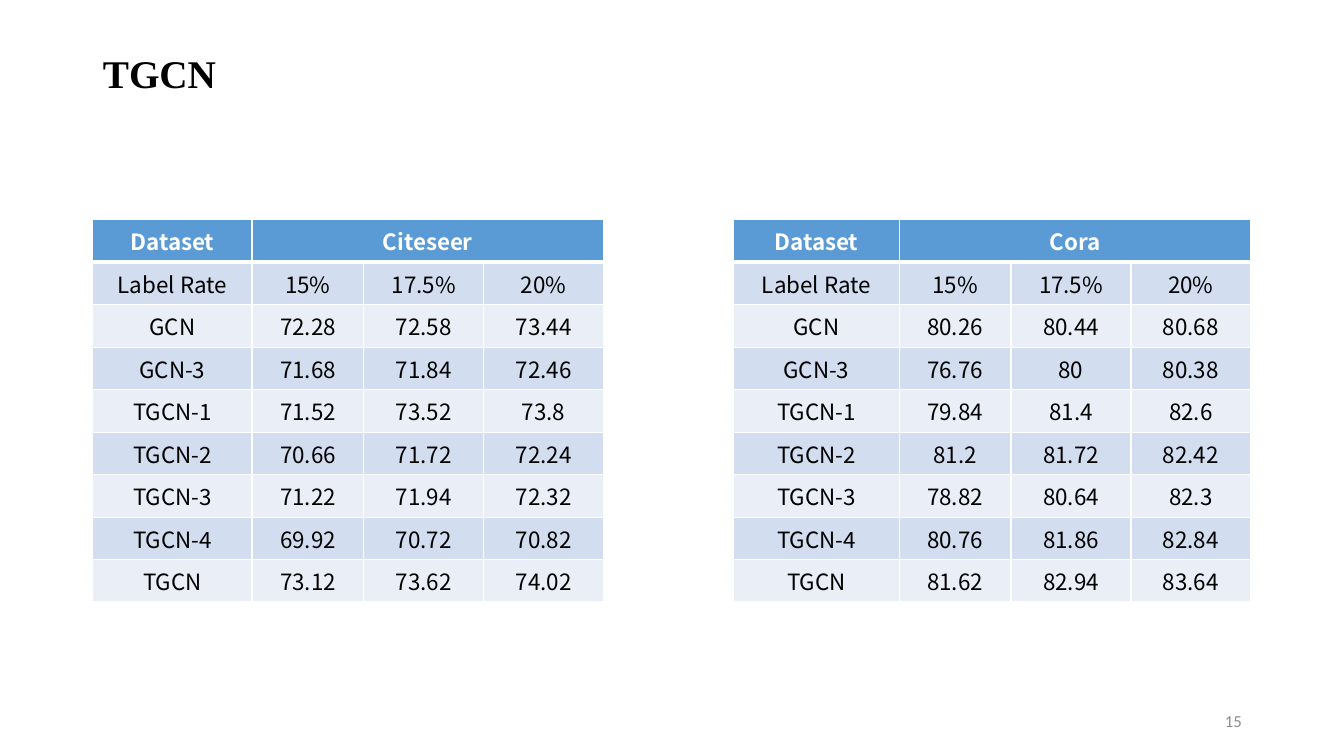
from lxml.etree import SubElement as Sub
from pptx import Presentation
from pptx.dml.color import RGBColor
from pptx.enum.text import MSO_ANCHOR as Anchor, PP_ALIGN as Align
from pptx.oxml.ns import qn
from pptx.util import Cm, Pt

ROWS = ["Label Rate", "GCN", "GCN-3", "TGCN-1", "TGCN-2", "TGCN-3", "TGCN-4", "TGCN"]
RATES = ["15%", "17.5%", "20%"]
CITE = [
    RATES,
    ["72.28", "72.58", "73.44"],
    ["71.68", "71.84", "72.46"],
    ["71.52", "73.52", "73.8"],
    ["70.66", "71.72", "72.24"],
    ["71.22", "71.94", "72.32"],
    ["69.92", "70.72", "70.82"],
    ["73.12", "73.62", "74.02"],
]
CORA = [
    RATES,
    ["80.26", "80.44", "80.68"],
    ["76.76", "80", "80.38"],
    ["79.84", "81.4", "82.6"],
    ["81.2", "81.72", "82.42"],
    ["78.82", "80.64", "82.3"],
    ["80.76", "81.86", "82.84"],
    ["81.62", "82.94", "83.64"],
]


def color(code):
    """Turn a hex string into a colour."""
    return RGBColor.from_string(code)


def write(frame, text, name, size, shade, bold, align):
    """Put one styled paragraph into a text frame."""
    frame.text = text
    para = frame.paragraphs[0]
    para.alignment = align
    font = para.font
    font.name, font.size, font.bold = name, Pt(size), bold
    font.color.rgb = color(shade)
    return para


def edge(cell, side, width):
    """Draw one white border of a cell."""
    line = Sub(cell._tc.get_or_add_tcPr(), qn(f"a:ln{side}"), w=str(Pt(width)))
    fill = Sub(line, qn("a:solidFill"))
    Sub(fill, qn("a:srgbClr"), val="FFFFFF")


def style(cell, text, row):
    """Fill, border and write a cell according to its row."""
    head = row == 0
    for side in "LRTB":
        thick = (head and side == "B") or (row == 1 and side == "T")
        edge(cell, side, 3 if thick else 1)
    cell.fill.solid()
    cell.fill.fore_color.rgb = color("5B9BD5" if head else ("EAEFF7", "D2DEEF")[row % 2])
    write(cell.text_frame, text, "Noto Sans CJK SC", 16,
          "FFFFFF" if head else "000000", head, Align.CENTER)


def grid(slide, box, name, data):
    """Place a table of scores for one dataset."""
    left, top, width, height = box
    cells = [["Dataset", name, "", ""]]
    cells += [[label, *vals] for label, vals in zip(ROWS, data)]
    table = slide.shapes.add_table(len(cells), 4, Cm(left), Cm(top), Cm(width), Cm(height)).table
    rest = [2.82, 3.02, 3.02]
    for col, size in zip(table.columns, [width - sum(rest), *rest]):
        col.width = Cm(size)
    for line in table.rows:
        line.height = Cm(height / len(cells))
    for row, texts in enumerate(cells):
        for col, text in enumerate(texts):
            style(table.cell(row, col), text, row)
    table.cell(0, 1).merge(table.cell(0, 3))


def title(slide, box, text):
    """Place and format the title."""
    shape = slide.shapes.title
    shape.left, shape.top, shape.width, shape.height = map(Cm, box)
    shape.text_frame.vertical_anchor = Anchor.MIDDLE
    para = write(shape.text_frame, text, "Times New Roman", 28, "000000", True, Align.LEFT)
    para.line_spacing = 0.9


def number(slide, box, text):
    """Place the page number."""
    frame = slide.shapes.add_textbox(*map(Cm, box)).text_frame
    frame.word_wrap = True
    frame.vertical_anchor = Anchor.MIDDLE
    write(frame, text, "Calibri", 12, "8C8C8C", False, Align.RIGHT)


def main():
    """Build and save the slide."""
    deck = Presentation()
    deck.slide_width, deck.slide_height = Cm(33.87), Cm(19.05)
    slide = deck.slides.add_slide(deck.slide_layouts[5])
    title(slide, (2.34, 0.08, 29.21, 3.68), "TGCN")
    grid(slide, (2.34, 5.54, 12.87, 9.63), "Citeseer", CITE)
    grid(slide, (18.49, 5.54, 13.03, 9.63), "Cora", CORA)
    number(slide, (23.93, 17.65, 7.62, 1.02), "15")
    deck.save("out.pptx")


if __name__ == "__main__":
    main()
